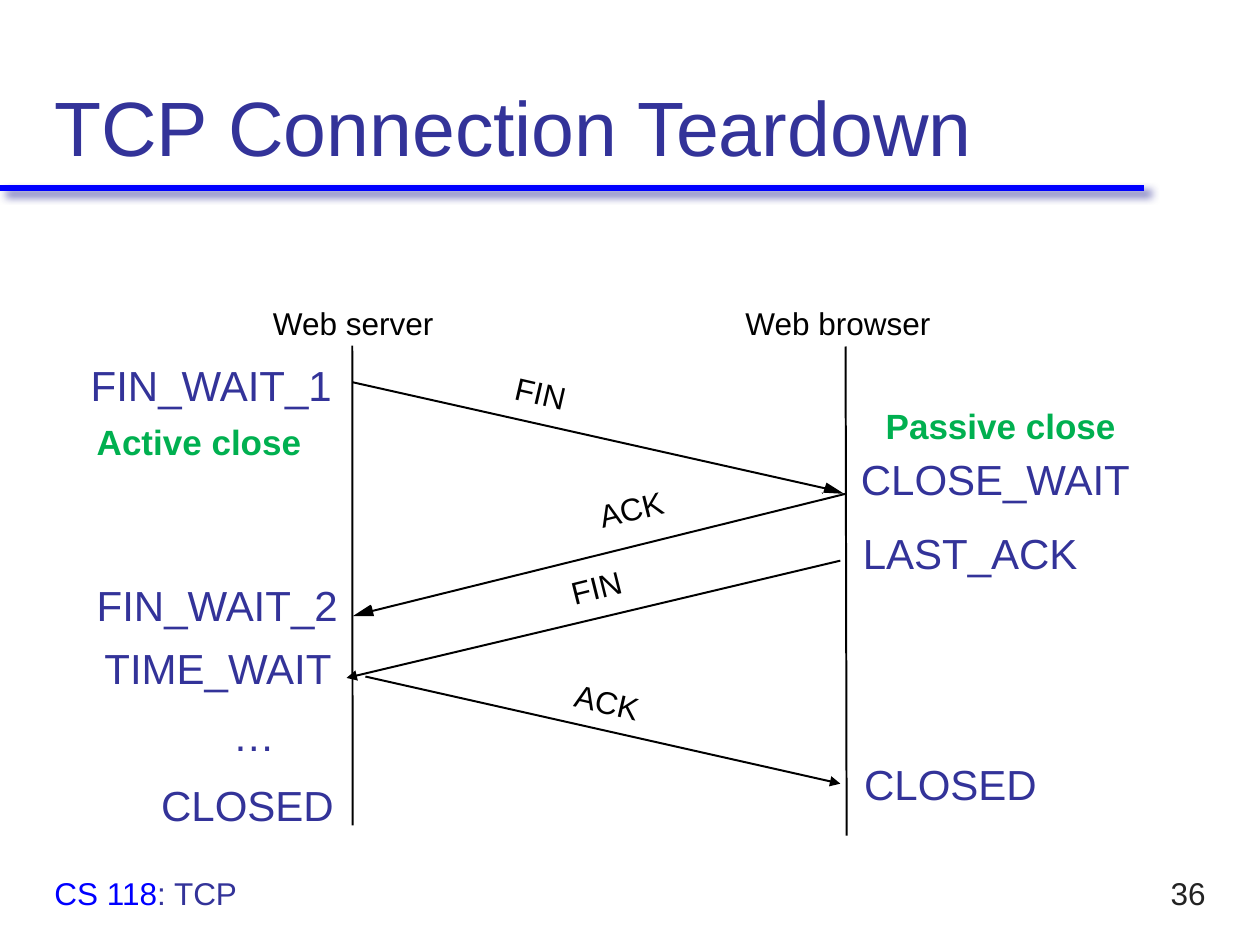
import lxml.etree
import pptx
import pptx.dml.color
import pptx.enum.shapes
import pptx.enum.text
import pptx.oxml.ns
import pptx.util

Pt = pptx.util.Pt
Align = pptx.enum.text.PP_ALIGN
Anchor = pptx.enum.text.MSO_ANCHOR

NAVY, BLUE, BLACK, GREEN, GREY = "333399", "0000FF", "000000", "00B050", "232323"


def colour(value):
    return pptx.dml.color.RGBColor.from_string(value)


def add_element(parent, tag, **attributes):
    return lxml.etree.SubElement(parent, pptx.oxml.ns.qn(tag), attributes)


class SlidePainter:
    """Draws styled elements on one slide, with all lengths in points."""

    font_name = "Arial"
    line_width = 1.13

    def __init__(self, slide):
        self.slide = slide

    def text(self, text, left, top, width, height, *, size=24, color=NAVY, bold=False,
             align=Align.LEFT, anchor=Anchor.TOP, inset=(7.2, 3.6), wrap=False, rotation=0):
        shape = self.slide.shapes.add_textbox(Pt(left), Pt(top), Pt(width), Pt(height))
        shape.rotation = rotation
        frame = shape.text_frame
        frame.word_wrap = wrap
        frame.vertical_anchor = anchor
        frame.margin_left = frame.margin_right = Pt(inset[0])
        frame.margin_top = frame.margin_bottom = Pt(inset[1])
        paragraph = frame.paragraphs[0]
        paragraph.alignment = align
        pieces = [(text, color)] if isinstance(text, str) else text
        for words, run_color in pieces:
            run = paragraph.add_run()
            run.text = words
            run.font.name = self.font_name
            run.font.size = Pt(size)
            run.font.bold = bold
            run.font.color.rgb = colour(run_color)

    def line(self, start, end, *, color=BLACK, width=line_width, arrow=False, shadow=False):
        connector = self.slide.shapes.add_connector(
            pptx.enum.shapes.MSO_CONNECTOR.STRAIGHT, *map(Pt, (*start, *end)))
        connector.line.color.rgb = colour(color)
        connector.line.width = Pt(width)
        properties = connector._element.spPr
        if arrow:
            add_element(connector.line._get_or_add_ln(), "a:tailEnd", type="triangle")
        effects = add_element(properties, "a:effectLst")
        if shadow:
            outer = add_element(effects, "a:outerShdw", blurRad=str(Pt(5)), dist=str(Pt(4.2)),
                                dir="2700000", algn="ctr", rotWithShape="0")
            shade = add_element(outer, "a:srgbClr", val=NAVY)
            add_element(shade, "a:alpha", val="75000")

    def polygon(self, points, *, color=BLACK):
        first, *rest = [(Pt(x), Pt(y)) for x, y in points]
        builder = self.slide.shapes.build_freeform(*first)
        builder.add_line_segments(rest, close=True)
        shape = builder.convert_to_shape()
        shape.shadow.inherit = False
        shape.fill.solid()
        shape.fill.fore_color.rgb = colour(color)
        shape.line.fill.background()


def main():
    presentation = pptx.Presentation()
    presentation.slide_width, presentation.slide_height = Pt(720), Pt(540)
    slide = presentation.slides.add_slide(presentation.slide_layouts[6])
    painter = SlidePainter(slide)

    painter.line((0, 107.3), (653.8, 107.3), color=BLUE, width=3.5, shadow=True)
    painter.text("TCP Connection Teardown", 24, 12, 672, 90, size=44,
                 anchor=Anchor.BOTTOM, wrap=True)

    lifelines = [((201.3, 197.5), (201.5, 471.6)), ((483.2, 198), (483.8, 477.5))]
    for start, end in lifelines:
        painter.line(start, end)

    messages = [
        ((201.3, 218.4), (473, 279.4), False),
        ((483.2, 282.2), (212.4, 349.2), False),
        ((480.2, 320.4), (198, 387.4), True),
        ((208.8, 386.6), (480.2, 447.8), True),
    ]
    for start, end, arrow in messages:
        painter.line(start, end, arrow=arrow)

    painter.polygon([(469.4, 281.5), (482.4, 282.2), (472.3, 275.8), (470.2, 282.2)])
    painter.polygon([(211.7, 345.6), (201.6, 352.1), (213.8, 352.1), (212.4, 346.3)])

    diagram_labels = [
        ("Web server", 156, 174, 92.2, 0),
        ("Web browser", 426, 174, 105.8, 0),
        ("FIN", 294.5, 213.8, 31, 13),
        ("ACK", 342, 279.4, 41.8, -14),
        ("FIN", 326.2, 324, 33.8, -14),
        ("ACK", 328.4, 390.2, 39, 13),
    ]
    for label, left, top, width, rotation in diagram_labels:
        painter.text(label, left, top, width, 21.6, size=18, color=BLACK,
                     inset=(0, 0), rotation=rotation)

    states = [
        ("FIN_WAIT_1", 44.8, 202, 153.4),
        ("FIN_WAIT_2", 48.2, 327.6, 153.4),
        ("TIME_WAIT", 52.6, 363.6, 144.7),
        ("…", 126, 401.8, 38.2),
        ("CLOSED", 85, 441.8, 113),
        ("CLOSE_WAIT", 484.8, 255.6, 169.2),
        ("LAST_ACK", 486, 297.8, 137.5),
        ("CLOSED", 486.7, 429.8, 113),
    ]
    for state, left, top, width in states:
        painter.text(state, left, top, width, 36)

    closes = [("Active close", 48.2, 236.9, 140.4), ("Passive close", 499, 227.5, 154.8)]
    for label, left, top, width in closes:
        painter.text(label, left, top, width, 31.7, size=20, color=GREEN, bold=True, wrap=True)

    painter.text([("CS 118", BLUE), (": TCP", NAVY)], 24, 492, 420, 36, size=18,
                 anchor=Anchor.MIDDLE, wrap=True)
    painter.text("36", 648, 492, 48, 36, size=18, color=GREY, align=Align.RIGHT,
                 anchor=Anchor.MIDDLE)

    presentation.save("out.pptx")


if __name__ == "__main__":
    main()
